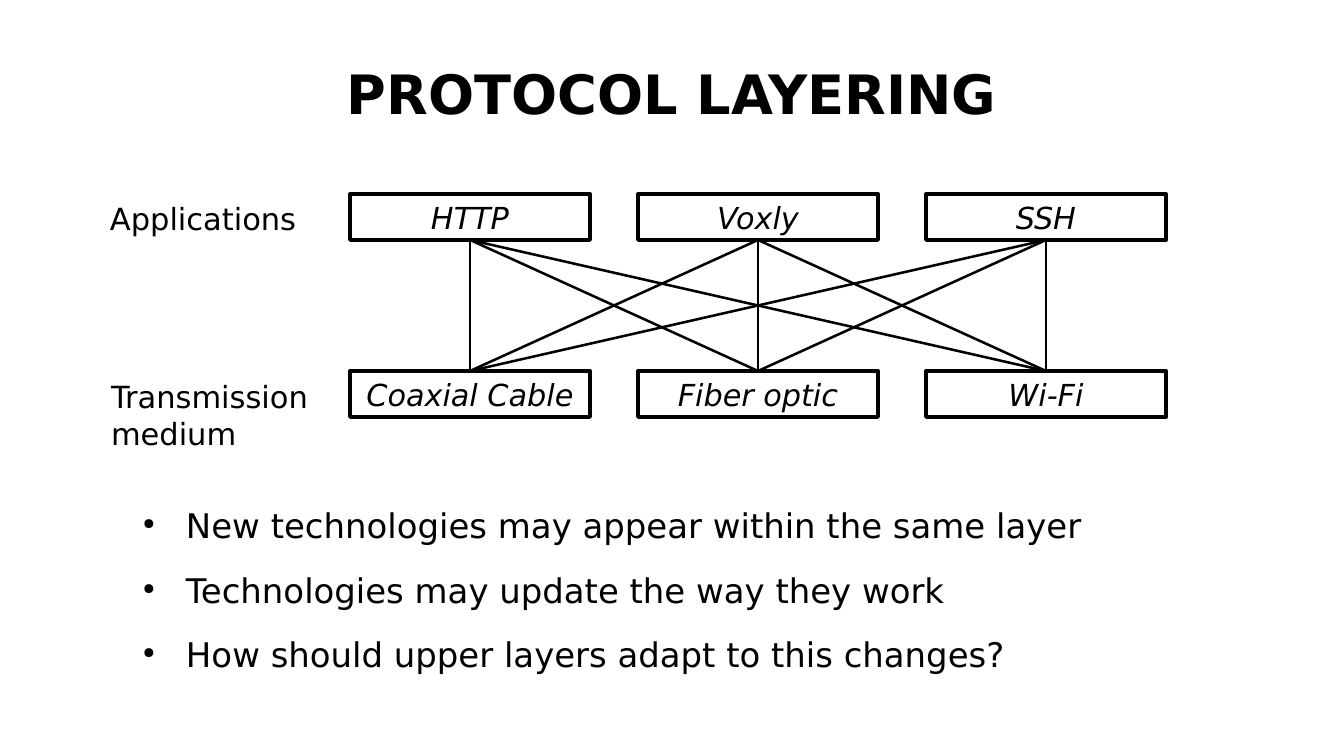
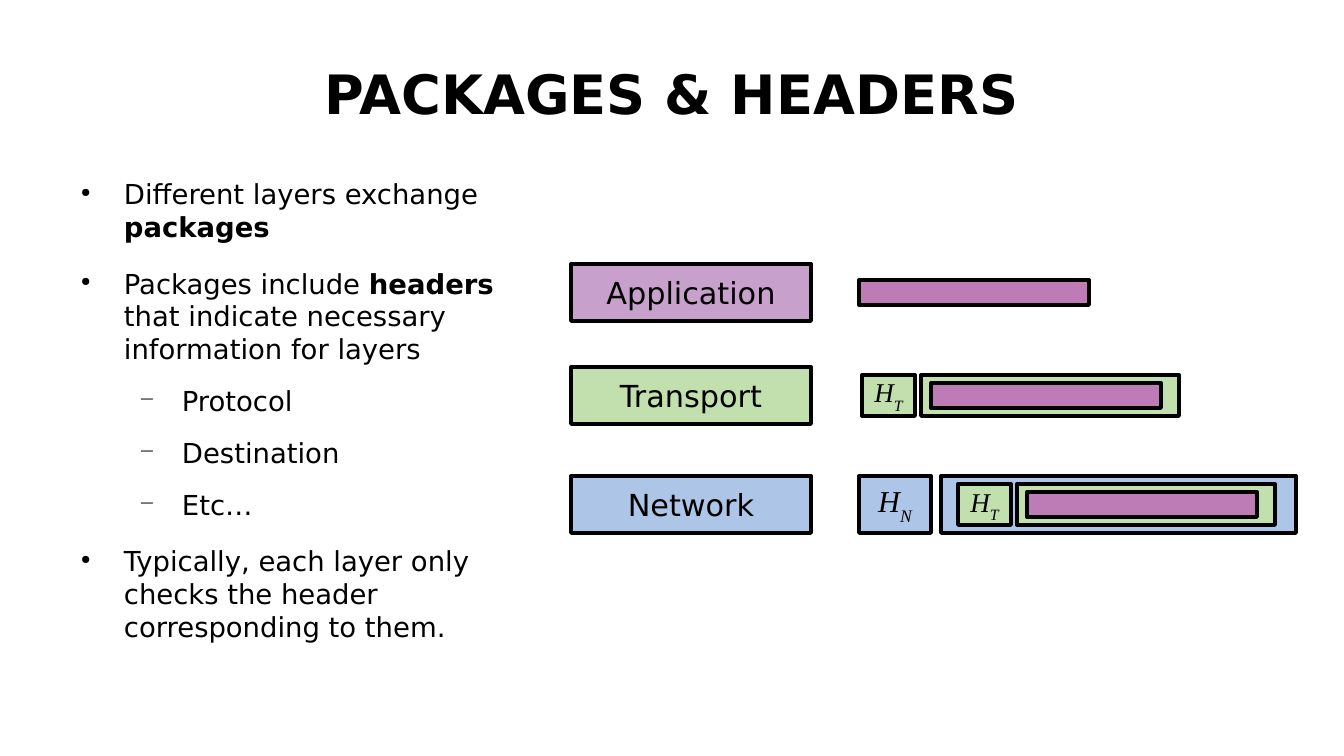
import itertools

import lxml.etree
import pptx
import pptx.dml.color
import pptx.enum.shapes
import pptx.enum.text
import pptx.oxml.ns
import pptx.util

SCALE = 7495  # EMU in one px
COLORS = {
    "ink": "000000",
    "application": "C7A0CB",
    "transport": "C2E0AE",
    "network": "ADC5E7",
    "data": "BD7CB5",
}
# level: (character, size in percent, left margin in px, space before in pt)
BULLETS = {0: ("●", 45, 57, 14), 1: ("−", 75, 115, 11.1)}
HANGING = 43
ANCHOR = pptx.enum.text.MSO_ANCHOR
ALIGN = pptx.enum.text.PP_ALIGN


def px(length):
    return pptx.util.Emu(length * SCALE)


def color(name):
    return pptx.dml.color.RGBColor.from_string(COLORS[name])


def add_child(parent, tag, **attributes):
    child = lxml.etree.SubElement(parent, pptx.oxml.ns.qn(tag))
    for name, value in attributes.items():
        child.set(name, str(value))
    return child


class Deck:
    FONT = "DejaVu Sans"
    MATH_FONT = "Times New Roman"

    def __init__(self, width, height):
        self.show = pptx.Presentation()
        self.show.slide_width = px(width)
        self.show.slide_height = px(height)
        self.page = None

    def add_page(self, title):
        self.page = self.show.slides.add_slide(self.show.slide_layouts[6])
        frame = self.frame(67, 30, 1210, 126)
        frame.vertical_anchor = ANCHOR.MIDDLE
        self.fill_para(frame.paragraphs[0], title, 32, align=ALIGN.CENTER, bold=True)

    def frame(self, left, top, width, height, inset=(0, 0)):
        box = self.page.shapes.add_textbox(px(left), px(top), px(width), px(height))
        self.set_inset(box.text_frame, *inset)
        box.text_frame.word_wrap = True
        return box.text_frame

    def set_inset(self, frame, across, down):
        frame.margin_left = frame.margin_right = px(across)
        frame.margin_top = frame.margin_bottom = px(down)

    def fill_para(self, para, text, size, align=ALIGN.LEFT, face=FONT, bold=False, italic=False):
        """Fill a paragraph; parts between ** marks are bold."""
        para.alignment = align
        font = para.font
        font.name, font.size = face, pptx.util.Pt(size)
        font.bold, font.italic = bold, italic
        font.color.rgb = color("ink")
        for index, part in enumerate(text.split("**")):
            if part:
                span = para.add_run()
                span.text = part
                if index % 2:
                    span.font.bold = True

    def label(self, left, top, width, height, text):
        frame = self.frame(left, top, width, height, inset=(12, 6))
        self.fill_para(frame.paragraphs[0], text, 18)

    def bullets(self, left, top, width, height, size, items):
        """Add (level, text) items as a bulleted list."""
        frame = self.frame(left, top, width, height)
        for index, (level, text) in enumerate(items):
            para = frame.add_paragraph() if index else frame.paragraphs[0]
            character, percent, margin, space = BULLETS[level]
            para.level = level
            para.space_before = pptx.util.Pt(space if index else 0)
            props = para._p.get_or_add_pPr()
            props.set("marL", str(px(margin)))
            props.set("indent", str(px(-HANGING)))
            add_child(add_child(props, "a:buClr"), "a:srgbClr", val=COLORS["ink"])
            add_child(props, "a:buSzPct", val=percent * 1000)
            add_child(props, "a:buChar", char=character)
            self.fill_para(para, text, size)

    def box(self, left, top, width, height, fill=None, text="", size=17.9,
            face=FONT, italic=False):
        box = self.page.shapes.add_shape(
            pptx.enum.shapes.MSO_SHAPE.RECTANGLE, px(left), px(top), px(width), px(height))
        box.shadow.inherit = False
        if fill:
            box.fill.solid()
            box.fill.fore_color.rgb = color(fill)
        else:
            box.fill.background()
        box.line.color.rgb = color("ink")
        box.line.width = pptx.util.Pt(2.3)
        if text:
            frame = box.text_frame
            self.set_inset(frame, 13, 7)
            frame.word_wrap = False
            frame.vertical_anchor = ANCHOR.MIDDLE
            self.fill_para(frame.paragraphs[0], text, size, ALIGN.CENTER, face, italic=italic)
        return box

    def header(self, left, top, width, height, fill, layer, size):
        """Draw a header box marked H with the layer letter as subscript."""
        box = self.box(left, top, width, height, fill, "H", size, self.MATH_FONT, True)
        span = box.text_frame.paragraphs[0].add_run()
        span.text = layer
        span._r.get_or_add_rPr().set("baseline", "-33000")

    def data(self, left, top):
        self.box(left, top, 230, 25, "data")

    def segment(self, left, top):
        """Draw a transport header followed by its wrapped data."""
        self.header(left, top, 53, 41, "transport", "T", 16)
        self.box(left + 59, top, 258, 41, "transport")
        self.data(left + 69, top + 8)

    def link(self, upper, lower):
        line = self.page.shapes.add_connector(
            pptx.enum.shapes.MSO_CONNECTOR.STRAIGHT, 0, 0, 0, 0)
        line.begin_connect(upper, 2)
        line.end_connect(lower, 0)
        line.line.color.rgb = color("ink")
        line.line.width = pptx.util.Pt(1.5)
        add_child(line._element.spPr, "a:effectLst")


def layering_page(deck):
    deck.add_page("PROTOCOL LAYERING")
    rows = ((194, ("HTTP", "Voxly", "SSH")),
            (371, ("Coaxial Cable", "Fiber optic", "Wi-Fi")))
    applications, media = [
        [deck.box(350 + 288 * column, top, 240, 46, text=name, italic=True)
         for column, name in enumerate(names)]
        for top, names in rows]
    for application, medium in itertools.product(applications, media):
        deck.link(application, medium)
    deck.label(98, 194, 211, 54, "Applications")
    deck.label(99, 372, 250, 95, "Transmission medium")
    deck.bullets(129, 505, 1172, 187, 20, [
        (0, "New technologies may appear within the same layer"),
        (0, "Technologies may update the way they work"),
        (0, "How should upper layers adapt to this changes?"),
    ])


def headers_page(deck):
    deck.add_page("PACKAGES & HEADERS")
    deck.bullets(67, 177, 461, 439, 16.2, [
        (0, "Different layers exchange **packages**"),
        (0, "Packages include **headers** that indicate necessary information for layers"),
        (1, "Protocol"),
        (1, "Destination"),
        (1, "Etc…"),
        (0, "Typically, each layer only checks the header corresponding to them."),
    ])
    for top, name in ((264, "Application"), (367, "Transport"), (476, "Network")):
        deck.box(571, top, 240, 57, name.lower(), name)
    deck.data(859, 280)
    deck.segment(862, 375)
    deck.header(859, 476, 72, 57, "network", "N", 17.9)
    deck.box(941, 476, 355, 57, "network")
    deck.segment(958, 484)


def main():
    deck = Deck(1344, 756)
    layering_page(deck)
    headers_page(deck)
    deck.show.save("out.pptx")


if __name__ == "__main__":
    main()
